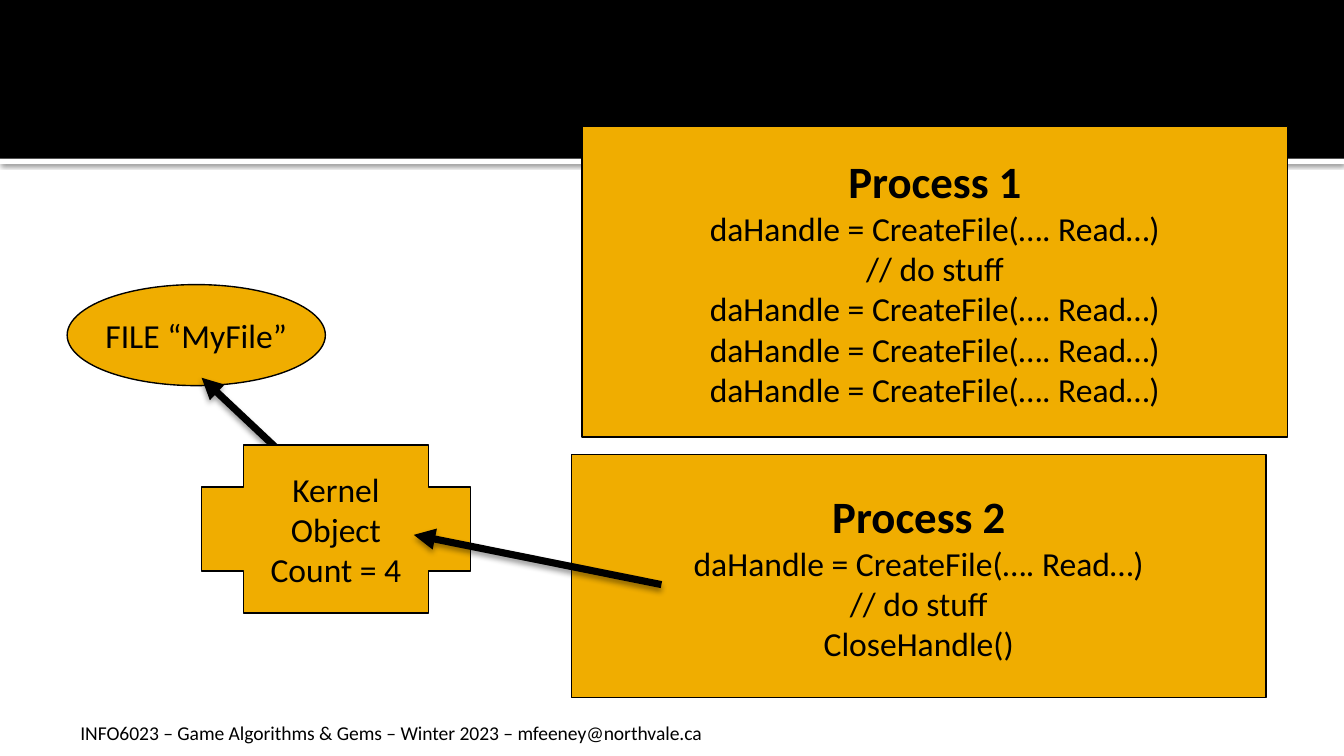
from lxml.etree import SubElement
from pptx import Presentation
from pptx.dml.color import RGBColor
from pptx.enum.shapes import MSO_CONNECTOR, MSO_SHAPE
from pptx.enum.text import MSO_ANCHOR, PP_ALIGN
from pptx.oxml.ns import qn
from pptx.util import Cm, Pt

FONT = "Calibri"
BLACK, WHITE, GOLD = "000000", "FFFFFF", "F0AD00"
WIDTH, HEIGHT = 25.4, 14.29
BAND_HEIGHT = 3
OPEN_FILE = "daHandle = CreateFile(…. Read…)"

# Positions in centimetres: left, top, width, height
FOOTER = ("INFO6023 – Game Algorithms & Gems – Winter 2023 – mfeeney@northvale.ca",
          (1.27, 13.51, 21.39, 0.71))
FILE = (MSO_SHAPE.OVAL, (1.27, 5.38, 4.88, 1.91), None, ["FILE “MyFile”"])
KERNEL = (MSO_SHAPE.CROSS, (3.81, 8.41, 5.08, 3.18), None,
          ["Kernel", "Object", "Count = 4"])
PROCESS_1 = (MSO_SHAPE.RECTANGLE, (11, 2.39, 13.34, 5.87), "Process 1",
             [OPEN_FILE, "// do stuff"] + [OPEN_FILE] * 3)
PROCESS_2 = (MSO_SHAPE.RECTANGLE, (10.8, 8.59, 13.13, 4.6), "Process 2",
             [OPEN_FILE, "// do stuff", "CloseHandle()"])
# Start and end points
KERNEL_TO_FILE = ((5.51, 8.74), (3.81, 7.14))
PROCESS_TO_KERNEL = ((12.5, 11.05), (7.82, 10.11))


def color(value):
    return RGBColor.from_string(value)


def lengths(values):
    return [Cm(value) for value in values]


def add_shadow(shape, opacity, blur, distance):
    """Give the shape a black shadow that falls straight down."""
    effects = SubElement(shape._element.spPr, qn("a:effectLst"))
    shadow = SubElement(effects, qn("a:outerShdw"), blurRad=str(Pt(blur)),
                        dist=str(Pt(distance)), dir="5400000", rotWithShape="0")
    tone = SubElement(shadow, qn("a:srgbClr"), val=BLACK)
    SubElement(tone, qn("a:alpha"), val=str(opacity * 1000))


def add_span(para, text, size, bold=False):
    span = para.add_run()
    span.text = text
    span.font.name = FONT
    span.font.size = Pt(size)
    span.font.bold = bold
    span.font.color.rgb = color(BLACK)


def add_band(slide, top, height, fill):
    band = slide.shapes.add_shape(MSO_SHAPE.RECTANGLE,
                                  *lengths((0, top, WIDTH, height)))
    band.fill.solid()
    band.fill.fore_color.rgb = color(fill)
    band.line.fill.background()
    return band


def add_node(slide, kind, place, heading, lines):
    node = slide.shapes.add_shape(kind, *lengths(place))
    node.shadow.inherit = False
    node.fill.solid()
    node.fill.fore_color.rgb = color(GOLD)
    node.line.color.rgb = color(BLACK)
    node.line.width = Pt(0.75)
    frame = node.text_frame
    frame.word_wrap = False
    frame.vertical_anchor = MSO_ANCHOR.MIDDLE
    rows = [(line, 18, False) for line in lines]
    if heading:
        rows.insert(0, (heading, 24, True))
    for index, row in enumerate(rows):
        para = frame.add_paragraph() if index else frame.paragraphs[0]
        para.alignment = PP_ALIGN.CENTER
        add_span(para, *row)


def add_arrow(slide, start, end):
    arrow = slide.shapes.add_connector(MSO_CONNECTOR.STRAIGHT,
                                       *lengths(start + end))
    arrow.line.color.rgb = color(BLACK)
    arrow.line.width = Pt(3.82)
    SubElement(arrow.line._get_or_add_ln(), qn("a:tailEnd"), type="triangle")
    add_shadow(arrow, 38, 3.1, 2)


def add_footer(slide, text, place):
    box = slide.shapes.add_textbox(*lengths(place))
    box.text_frame.word_wrap = True
    add_span(box.text_frame.paragraphs[0], text, 10.5)


def main():
    deck = Presentation()
    deck.slide_width, deck.slide_height = lengths((WIDTH, HEIGHT))
    slide = deck.slides.add_slide(deck.slide_layouts[6])

    rule = add_band(slide, BAND_HEIGHT, 0.1, WHITE)
    add_shadow(rule, 60, 2.5, 0.8)
    header = add_band(slide, 0, BAND_HEIGHT, BLACK)
    header.shadow.inherit = False
    add_footer(slide, *FOOTER)

    add_node(slide, *FILE)
    add_arrow(slide, *KERNEL_TO_FILE)
    add_node(slide, *KERNEL)
    add_node(slide, *PROCESS_2)
    add_arrow(slide, *PROCESS_TO_KERNEL)
    add_node(slide, *PROCESS_1)
    deck.save("out.pptx")


if __name__ == "__main__":
    main()
